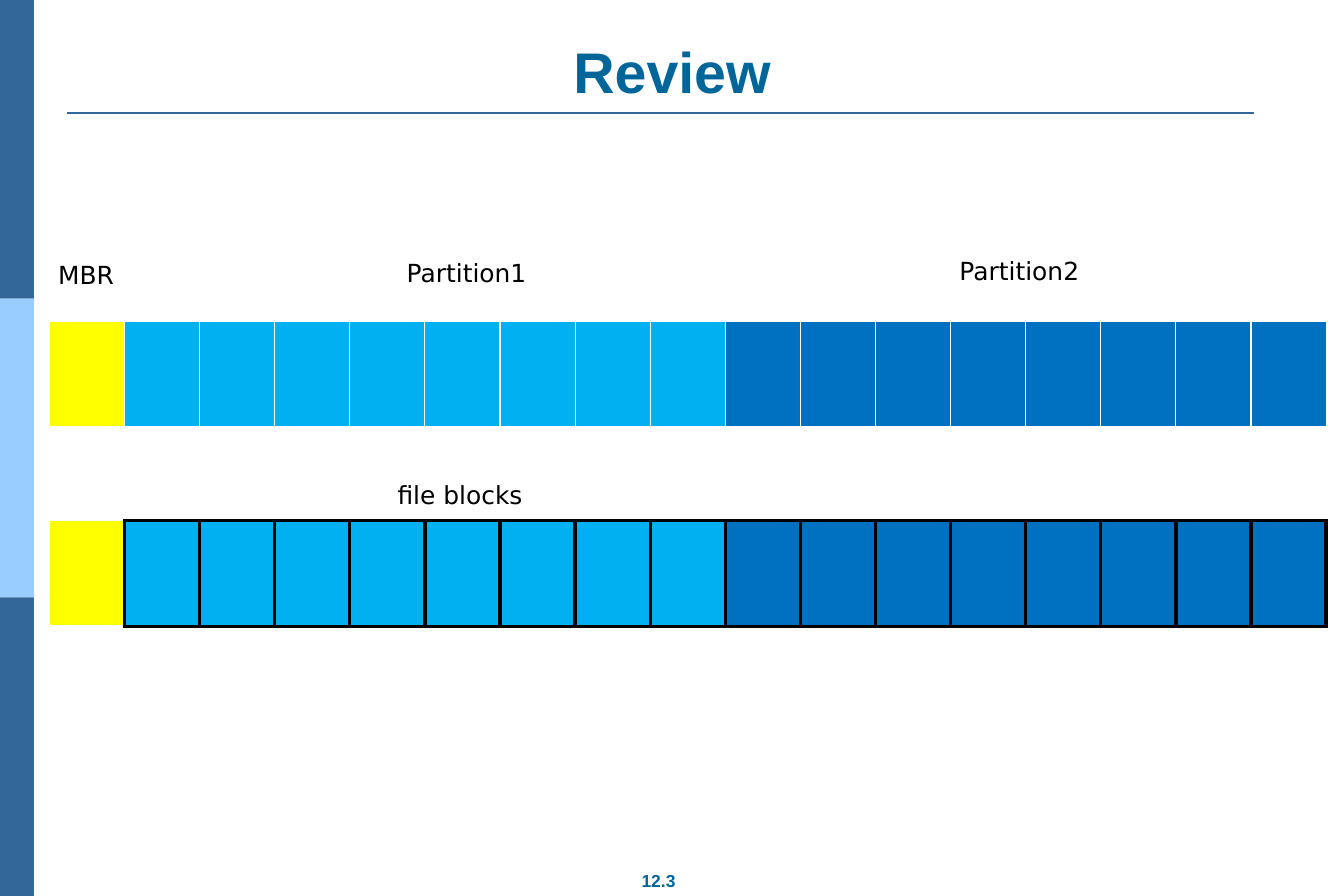
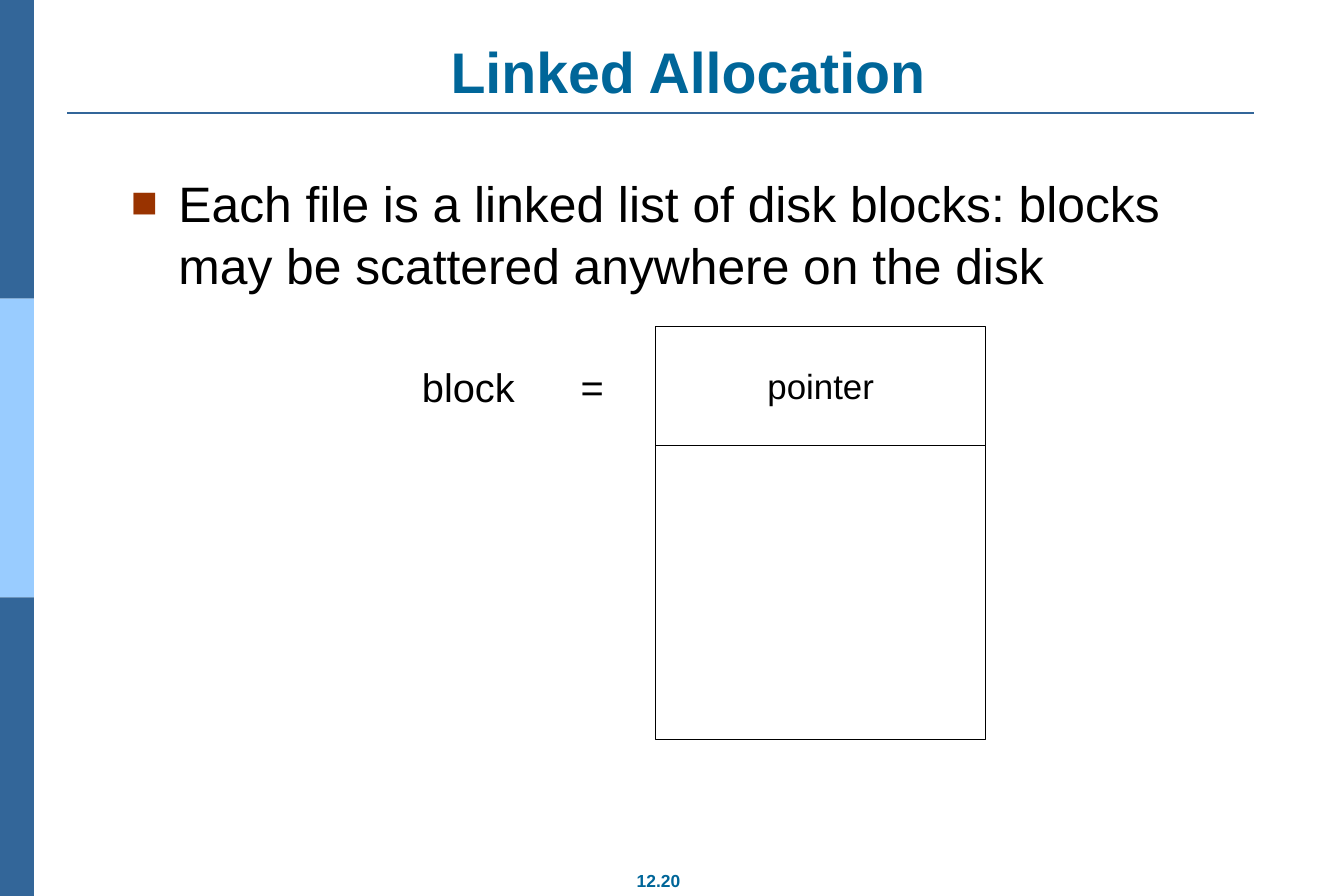
from lxml.etree import SubElement
from pptx import Presentation
from pptx.dml.color import RGBColor
from pptx.enum.shapes import MSO_CONNECTOR, MSO_SHAPE
from pptx.enum.text import MSO_ANCHOR, PP_ALIGN
from pptx.oxml.ns import qn
from pptx.util import Cm, Pt

WIDTH, HEIGHT = 38.1, 25.4
BAND, BAND_LIGHT = "336699", "99CCFF"
TITLE, BULLET = "006699", "993300"
BLACK, WHITE = "000000", "FFFFFF"
MBR, PARTITION_1, PARTITION_2 = "FFFF00", "00B0F0", "0070C0"
BLOCKS_PER_PARTITION = 8
BODY_FONT, LABEL_FONT = "Arial", "DejaVu Sans"


def rgb(color):
    return RGBColor.from_string(color)


def box(left, top, width, height):
    return Cm(left), Cm(top), Cm(width), Cm(height)


def add_run(p, text, size, color=BLACK, font=BODY_FONT, bold=False):
    r = p.add_run()
    r.text = text
    r.font.size = Pt(size)
    r.font.name = font
    r.font.bold = bold
    r.font.color.rgb = rgb(color)


def add_text(slide, area, text, size, align=PP_ALIGN.LEFT,
             anchor=MSO_ANCHOR.TOP, inset=(0.25, 0.13), **style):
    """Add a one-paragraph text box and return the paragraph."""
    tf = slide.shapes.add_textbox(*box(*area)).text_frame
    tf.word_wrap = True
    tf.vertical_anchor = anchor
    tf.margin_left = tf.margin_right = Cm(inset[0])
    tf.margin_top = tf.margin_bottom = Cm(inset[1])
    p = tf.paragraphs[0]
    p.alignment = align
    add_run(p, text, size, **style)
    return p


def add_rect(slide, area, fill, line=None):
    sp = slide.shapes.add_shape(MSO_SHAPE.RECTANGLE, *box(*area))
    sp.shadow.inherit = False
    sp.fill.solid()
    sp.fill.fore_color.rgb = rgb(fill)
    if line:
        sp.line.color.rgb = rgb(line)
        sp.line.width = Pt(0.75)
    else:
        sp.line.fill.background()
    return sp


def add_frame(prs, title, number, title_left=1.9):
    """Add a slide with the side bands, title, rule and page number."""
    slide = prs.slides.add_slide(prs.slide_layouts[6])
    band_height = HEIGHT / 3
    for i, color in enumerate((BAND, BAND_LIGHT, BAND)):
        add_rect(slide, (0, i * band_height, 0.96, band_height), color)
    rule = slide.shapes.add_connector(
        MSO_CONNECTOR.STRAIGHT, Cm(1.9), Cm(3.2), Cm(35.56), Cm(3.2))
    rule.line.color.rgb = rgb(BAND)
    rule.line.width = Pt(1.5)
    SubElement(rule._element.spPr, qn("a:effectLst"))
    heading = dict(align=PP_ALIGN.CENTER, inset=(0.36, 0.18),
                   color=TITLE, bold=True)
    add_text(slide, (title_left, 1.02, 36.2 - title_left, 2.13), title, 46,
             anchor=MSO_ANCHOR.BOTTOM, **heading)
    add_text(slide, (17.17, 24.49, 3, 0.96), number, 14, **heading)
    return slide


def set_borders(cell, **edges):
    """Set cell borders; each edge (L, R, T, B) is a colour and a width."""
    tcPr = cell._tc.get_or_add_tcPr()
    for side in "LRTB":
        color, width = edges[side]
        ln = SubElement(tcPr, qn(f"a:ln{side}"), w=str(Pt(width)))
        fill = SubElement(ln, qn("a:solidFill"))
        SubElement(fill, qn("a:srgbClr"), val=color)


def add_disk(slide, left, top, width, height, labels, outlined=False):
    """Draw a disk as a row of blocks, with labels given as (x, y, text)."""
    fills = ([MBR] + [PARTITION_1] * BLOCKS_PER_PARTITION
             + [PARTITION_2] * BLOCKS_PER_PARTITION)
    table = slide.shapes.add_table(
        1, len(fills), *box(left, top, width, height)).table
    table.first_row = table.horz_banding = False
    thin, thick, outline = (WHITE, 1), (WHITE, 3), (BLACK, 3)
    plain = dict(L=thin, R=thin, T=thin, B=thick)
    for i, fill in enumerate(fills):
        table.columns[i].width = Cm(width / len(fills))
        cell = table.cell(0, i)
        if not outlined:
            edges = plain
        elif i == 0:
            edges = {**plain, "R": outline}
        else:
            edges = dict.fromkeys("LRTB", outline)
        set_borders(cell, **edges)
        cell.fill.solid()
        cell.fill.fore_color.rgb = rgb(fill)
    for x, y, text in labels:
        add_text(slide, (left + x, top + y, 4.47, 1.12), text, 20,
                 font=LABEL_FONT)


def add_bullet(slide, area, text):
    p = add_text(slide, area, text, 40, inset=(0.36, 0.18))
    p.line_spacing = 1.05
    pPr = p._p.get_or_add_pPr()
    pPr.set("marL", str(Cm(1.35)))
    pPr.set("indent", str(-Cm(1.35)))
    color = SubElement(pPr, qn("a:buClr"))
    SubElement(color, qn("a:srgbClr"), val=BULLET)
    SubElement(pPr, qn("a:buSzPct"), val="90000")
    SubElement(pPr, qn("a:buFont"), typeface=BODY_FONT)
    SubElement(pPr, qn("a:buChar"), char="■")


def add_block_diagram(slide, left, top, width, height):
    """Draw a block as a pointer field above a data field."""
    label_width, pointer_height = 6.88, 3.37
    field_left, field_width = left + label_width, width - label_width
    pointer = add_rect(slide, (field_left, top, field_width, pointer_height),
                       WHITE, BLACK)
    pointer.text_frame.vertical_anchor = MSO_ANCHOR.MIDDLE
    p = pointer.text_frame.paragraphs[0]
    p.alignment = PP_ALIGN.CENTER
    add_run(p, "pointer", 28)
    add_rect(slide, (field_left, top + pointer_height, field_width,
                     height - pointer_height), WHITE, BLACK)
    p = add_text(slide, (left, top, label_width, pointer_height),
                 "block\t=", 32, anchor=MSO_ANCHOR.MIDDLE)
    tabs = SubElement(p._p.get_or_add_pPr(), qn("a:tabLst"))
    SubElement(tabs, qn("a:tab"), pos=str(Cm(4.5)), algn="l")


def build_review(prs):
    slide = add_frame(prs, "Review", "12.3")
    add_disk(slide, 1.4, 9.12, 36.2, 3, [
        (0, -1.88, "MBR"),
        (9.88, -1.96, "Partition1"),
        (25.55, -2, "Partition2"),
    ])
    add_disk(slide, 1.4, 14.76, 36.2, 3, [(9.62, -1.3, "file blocks")],
             outlined=True)


def build_linked_allocation(prs):
    slide = add_frame(prs, "Linked Allocation", "12.20", title_left=2.8)
    add_bullet(slide, (3.35, 4.62, 31.57, 2.77),
               "Each file is a linked list of disk blocks: blocks "
               "may be scattered anywhere on the disk")
    add_block_diagram(slide, 11.71, 9.26, 16.23, 11.7)


def main():
    prs = Presentation()
    prs.slide_width, prs.slide_height = Cm(WIDTH), Cm(HEIGHT)
    build_review(prs)
    build_linked_allocation(prs)
    prs.save("out.pptx")


if __name__ == "__main__":
    main()
